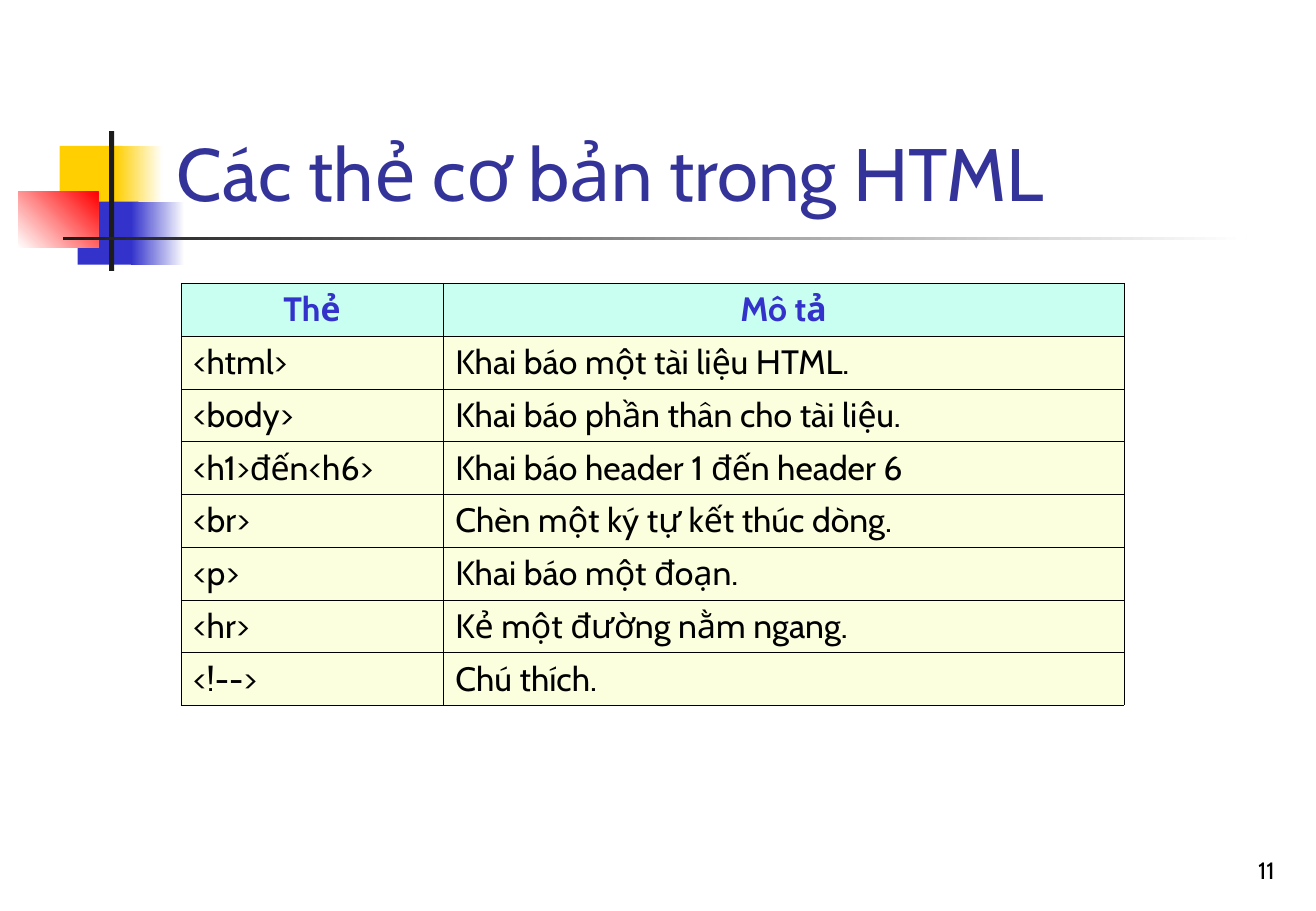
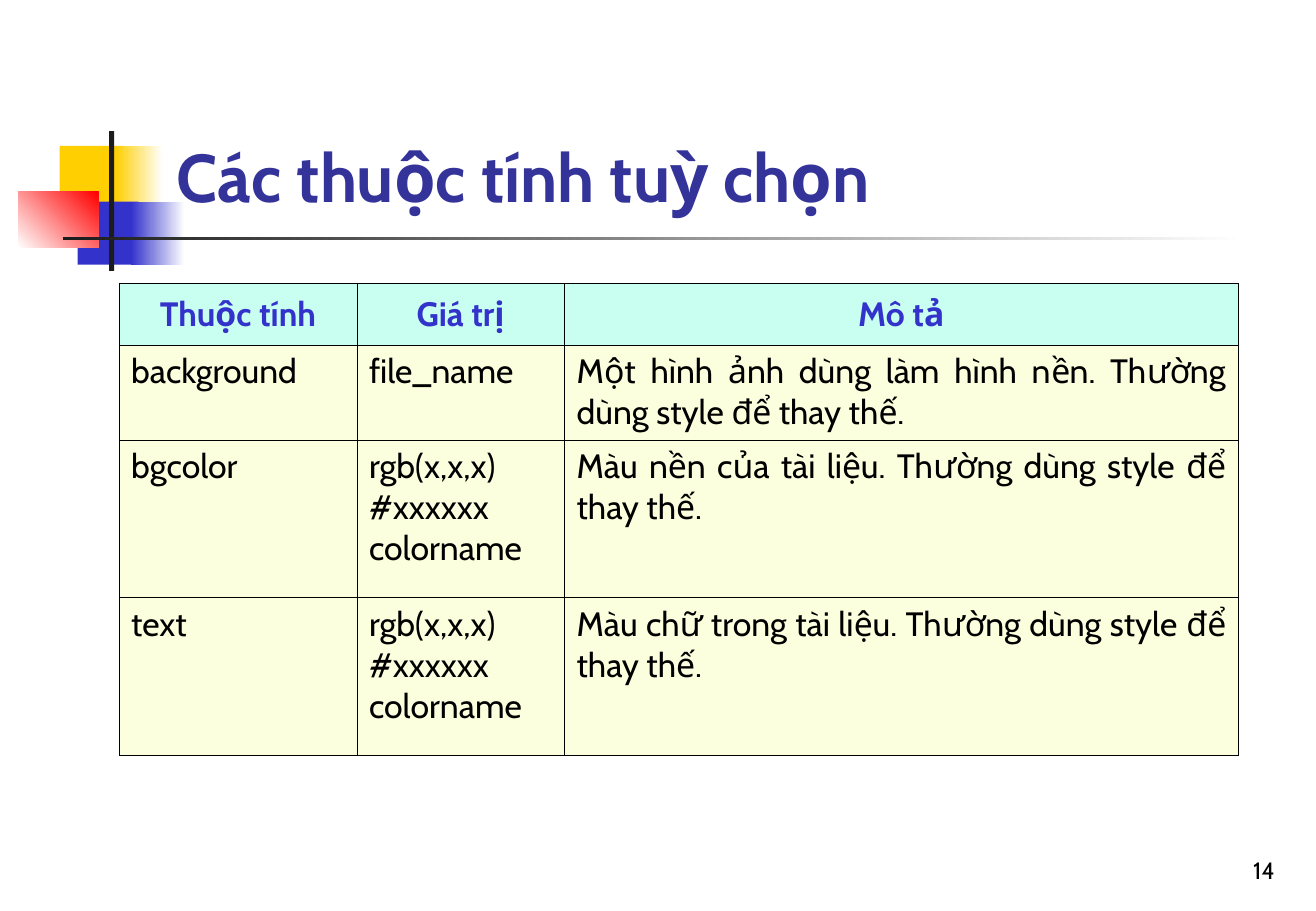
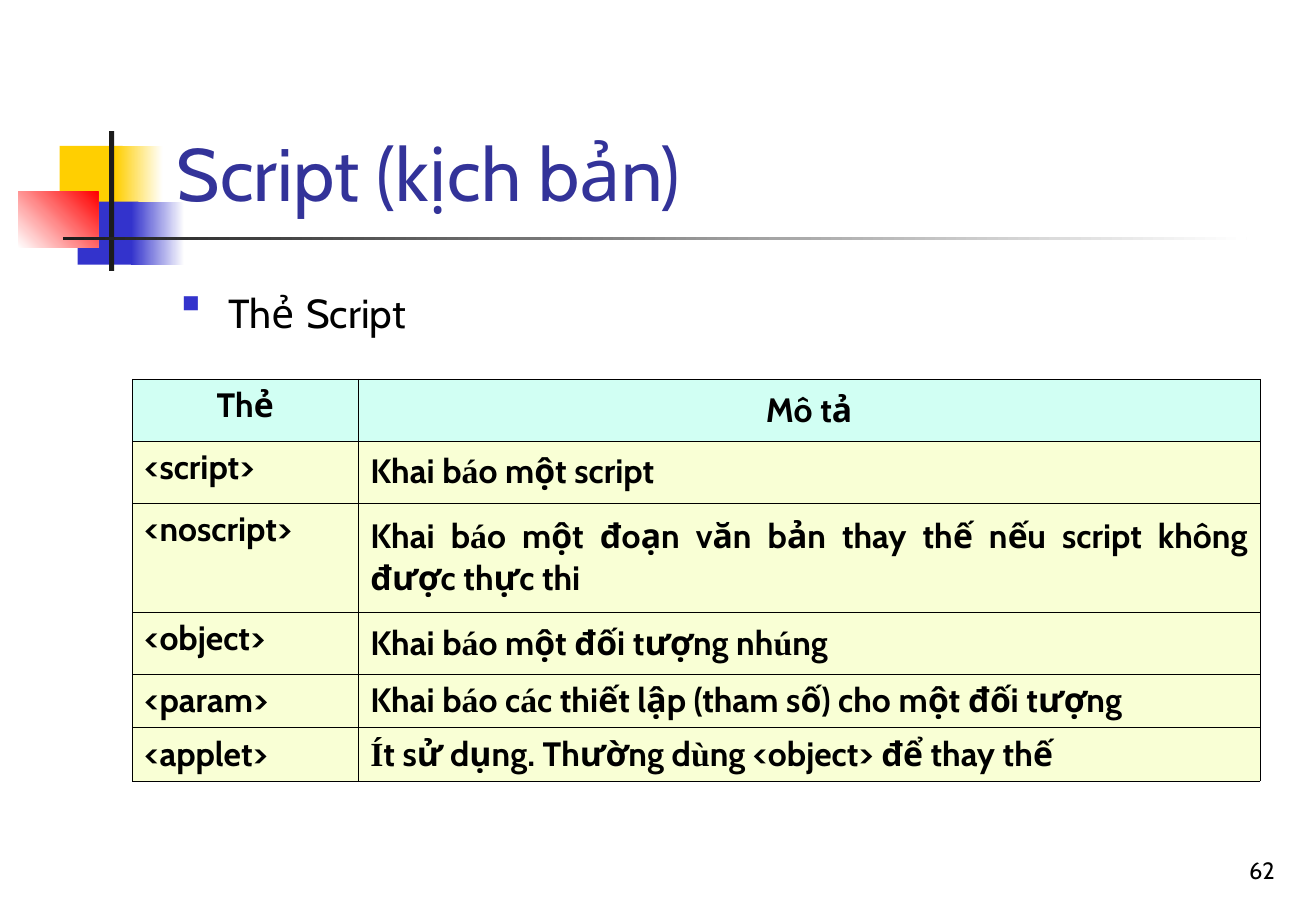
from dataclasses import dataclass
from itertools import groupby

from lxml.etree import SubElement
from pptx import Presentation
from pptx.dml.color import RGBColor
from pptx.enum.shapes import MSO_SHAPE
from pptx.enum.text import MSO_ANCHOR, PP_ALIGN
from pptx.oxml.ns import qn
from pptx.util import Inches, Pt

COLORS = {
    "white": "FFFFFF",
    "black": "000000",
    "dark": "1C1C1C",
    "yellow": "FFCF01",
    "blue": "3333CC",
    "red": "FF0000",
    "title": "333399",
    "mint": "C9FFF1",
    "cream": "FCFFDD",
    "pale_mint": "D1FFF3",
    "pale_cream": "F9FFD5",
}
FONT = "Cabin"
ACCENT_FONT = "Times New Roman"
ACCENT_LETTERS = "áúùÍ"
TOP, MIDDLE = MSO_ANCHOR.TOP, MSO_ANCHOR.MIDDLE
MOTIF = [
    (0.49, 1.2, 0.52, 0.52, ["yellow"], 0),
    (0.95, 1.2, 0.39, 0.52, ["yellow", "white"], 0),
    (0.64, 1.66, 0.5, 0.52, ["blue"], 0),
    (1.08, 1.66, 0.44, 0.52, ["blue", "white"], 0),
    (0.15, 1.58, 0.66, 0.46, ["white", "red"], 45),
    (0.9, 1.08, 0.04, 1.15, ["dark"], 0),
    (0.52, 1.95, 9.75, 0.03, ["dark", "white"], 0),
]


@dataclass
class TableStyle:
    header_anchors: list
    body_anchors: list
    header_fill: str = "mint"
    body_fill: str = "cream"
    header_color: str = "blue"
    body_bold: bool = False
    accent_letters: str = ""


def color(name):
    return RGBColor.from_string(COLORS[name])


def style_font(font, size, color_name, bold=False):
    font.name = FONT
    font.size = Pt(size)
    font.bold = bold
    font.color.rgb = color(color_name)


def add_block(slide, left, top, width, height, names, angle):
    shape = slide.shapes.add_shape(
        MSO_SHAPE.RECTANGLE, Inches(left), Inches(top), Inches(width), Inches(height)
    )
    shape.shadow.inherit = False
    shape.line.fill.background()
    if len(names) == 1:
        shape.fill.solid()
        shape.fill.fore_color.rgb = color(names[0])
        return
    shape.fill.gradient()
    shape.fill.gradient_angle = angle
    for stop, name in zip(shape.fill.gradient_stops, names):
        stop.color.rgb = color(name)


def add_text_box(slide, left, top, width, height, anchor):
    box = slide.shapes.add_textbox(Inches(left), Inches(top), Inches(width), Inches(height))
    box.text_frame.word_wrap = True
    box.text_frame.vertical_anchor = anchor
    return box.text_frame.paragraphs[0]


def add_base_slide(presentation, title, number, title_size=44, title_bold=False):
    slide = presentation.slides.add_slide(presentation.slide_layouts[6])
    for block in MOTIF:
        add_block(slide, *block)
    paragraph = add_text_box(slide, 1.36, 0.23, 9.23, 1.6, MSO_ANCHOR.BOTTOM)
    paragraph.text = title
    style_font(paragraph.font, title_size, "title", title_bold)
    paragraph = add_text_box(slide, 8.34, 6.83, 2.26, 0.5, MSO_ANCHOR.BOTTOM)
    paragraph.text = str(number)
    paragraph.alignment = PP_ALIGN.RIGHT
    style_font(paragraph.font, 14, "black")
    return slide


def add_bullet(slide, pieces):
    paragraph = add_text_box(slide, 1.4, 2.21, 9.21, 0.7, TOP)
    properties = paragraph._p.get_or_add_pPr()
    properties.set("marL", str(Inches(0.38)))
    properties.set("indent", str(Inches(-0.38)))
    bullet_color = SubElement(properties, qn("a:buClr"))
    SubElement(bullet_color, qn("a:srgbClr"), val=COLORS["blue"])
    SubElement(properties, qn("a:buSzPct"), val="60000")
    SubElement(properties, qn("a:buChar"), char="■")
    paragraph.space_before = Pt(6)
    style_font(paragraph.font, 24, "black")
    for text, size in pieces:
        run = paragraph.add_run()
        run.text = text
        run.font.size = Pt(size)


def add_borders(cell):
    properties = cell._tc.get_or_add_tcPr()
    for side in ("lnL", "lnR", "lnT", "lnB"):
        line = SubElement(properties, qn(f"a:{side}"), w=str(Pt(0.06)))
        fill = SubElement(line, qn("a:solidFill"))
        SubElement(fill, qn("a:srgbClr"), val=COLORS["black"])


def write_cell(cell, text, style, is_header, anchor):
    add_borders(cell)
    cell.fill.solid()
    cell.fill.fore_color.rgb = color(style.header_fill if is_header else style.body_fill)
    cell.vertical_anchor = anchor
    paragraph = cell.text_frame.paragraphs[0]
    paragraph.alignment = PP_ALIGN.CENTER if is_header else PP_ALIGN.JUSTIFY
    style_font(
        paragraph.font,
        20,
        style.header_color if is_header else "black",
        is_header or style.body_bold,
    )
    if not style.accent_letters:
        paragraph.text = text
        return
    for is_accent, letters in groupby(text, lambda letter: letter in style.accent_letters):
        run = paragraph.add_run()
        run.text = "".join(letters)
        if is_accent:
            run.font.name = ACCENT_FONT


def add_tag_table(slide, left, top, widths, heights, rows, style):
    frame = slide.shapes.add_table(
        len(rows), len(widths), Inches(left), Inches(top),
        Inches(sum(widths)), Inches(sum(heights)),
    )
    table = frame.table
    table.first_row = False
    table.horz_banding = False
    for column, width in zip(table.columns, widths):
        column.width = Inches(width)
    for index, (row, height, texts) in enumerate(zip(table.rows, heights, rows)):
        row.height = Inches(height)
        anchors = style.body_anchors if index else style.header_anchors
        for cell, text, anchor in zip(row.cells, texts, anchors):
            write_cell(cell, text, style, index == 0, anchor)


def add_basic_tags(presentation):
    slide = add_base_slide(presentation, "Các thẻ cơ bản trong HTML", 11)
    rows = [
        ("Thẻ", "Mô tả"),
        ("<html>", "Khai báo một tài liệu HTML."),
        ("<body>", "Khai báo phần thân cho tài liệu."),
        ("<h1>đến<h6>", "Khai báo header 1 đến header 6"),
        ("<br>", "Chèn một ký tự kết thúc dòng."),
        ("<p>", "Khai báo một đoạn."),
        ("<hr>", "Kẻ một đường nằm ngang."),
        ("<!-->", "Chú thích."),
    ]
    heights = [3.48 / len(rows)] * len(rows)
    style = TableStyle([MIDDLE] * 2, [MIDDLE] * 2)
    add_tag_table(slide, 1.49, 2.33, [2.16, 5.61], heights, rows, style)


def add_optional_attributes(presentation):
    slide = add_base_slide(presentation, "Các thuộc tính tuỳ chọn", 14, 40, True)
    color_values = "rgb(x,x,x)\v#xxxxxx\vcolorname"
    rows = [
        ("Thuộc tính", "Giá trị", "Mô tả"),
        ("background", "file_name",
         "Một hình ảnh dùng làm hình nền. Thường dùng style để thay thế."),
        ("bgcolor", color_values, "Màu nền của tài liệu. Thường dùng style để thay thế."),
        ("text", color_values, "Màu chữ trong tài liệu. Thường dùng style để thay thế."),
    ]
    style = TableStyle([MIDDLE] * 3, [TOP] * 3)
    add_tag_table(slide, 0.98, 2.33, [1.96, 1.71, 5.55], [0.51, 0.78, 1.3, 1.3], rows, style)


def add_script_tags(presentation):
    slide = add_base_slide(presentation, "Script (kịch bản)", 62)
    add_bullet(slide, [("Thẻ", 24), (" ", 32), ("Script", 24)])
    rows = [
        ("Thẻ", "Mô tả"),
        ("<script>", "Khai báo một script"),
        ("<noscript>", "Khai báo một đoạn văn bản thay thế nếu script không được thực thi"),
        ("<object>", "Khai báo một đối tượng nhúng"),
        ("<param>", "Khai báo các thiết lập (tham số) cho một đối tượng"),
        ("<applet>", "Ít sử dụng. Thường dùng <object> để thay thế"),
    ]
    style = TableStyle(
        [TOP, MIDDLE], [TOP, MIDDLE], "pale_mint", "pale_cream", "black", True, ACCENT_LETTERS
    )
    heights = [0.51, 0.51, 0.9, 0.51, 0.44, 0.44]
    add_tag_table(slide, 1.09, 3.12, [1.86, 7.43], heights, rows, style)


def main():
    presentation = Presentation()
    presentation.slide_width = Inches(10.84)
    presentation.slide_height = Inches(7.5)
    add_basic_tags(presentation)
    add_optional_attributes(presentation)
    add_script_tags(presentation)
    presentation.save("out.pptx")


if __name__ == "__main__":
    main()
